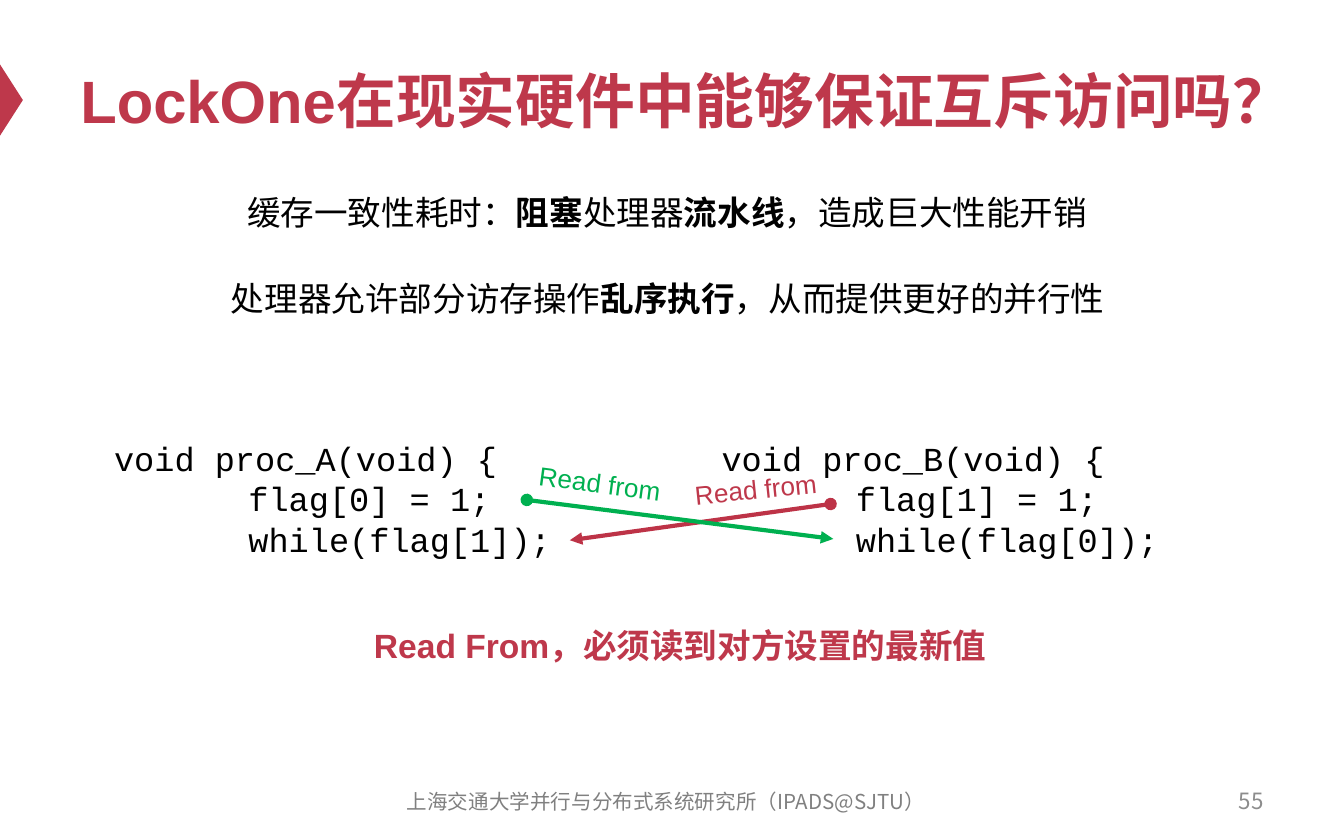
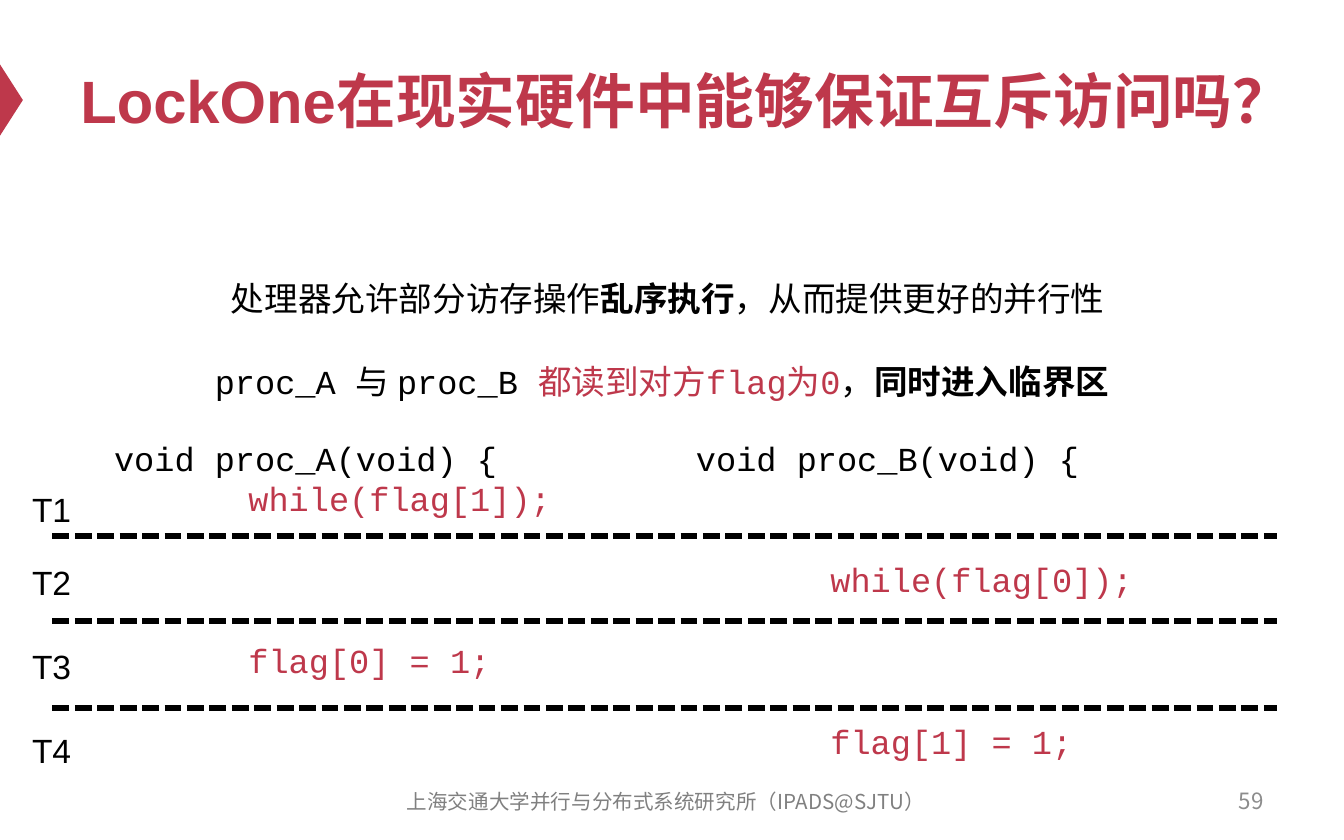
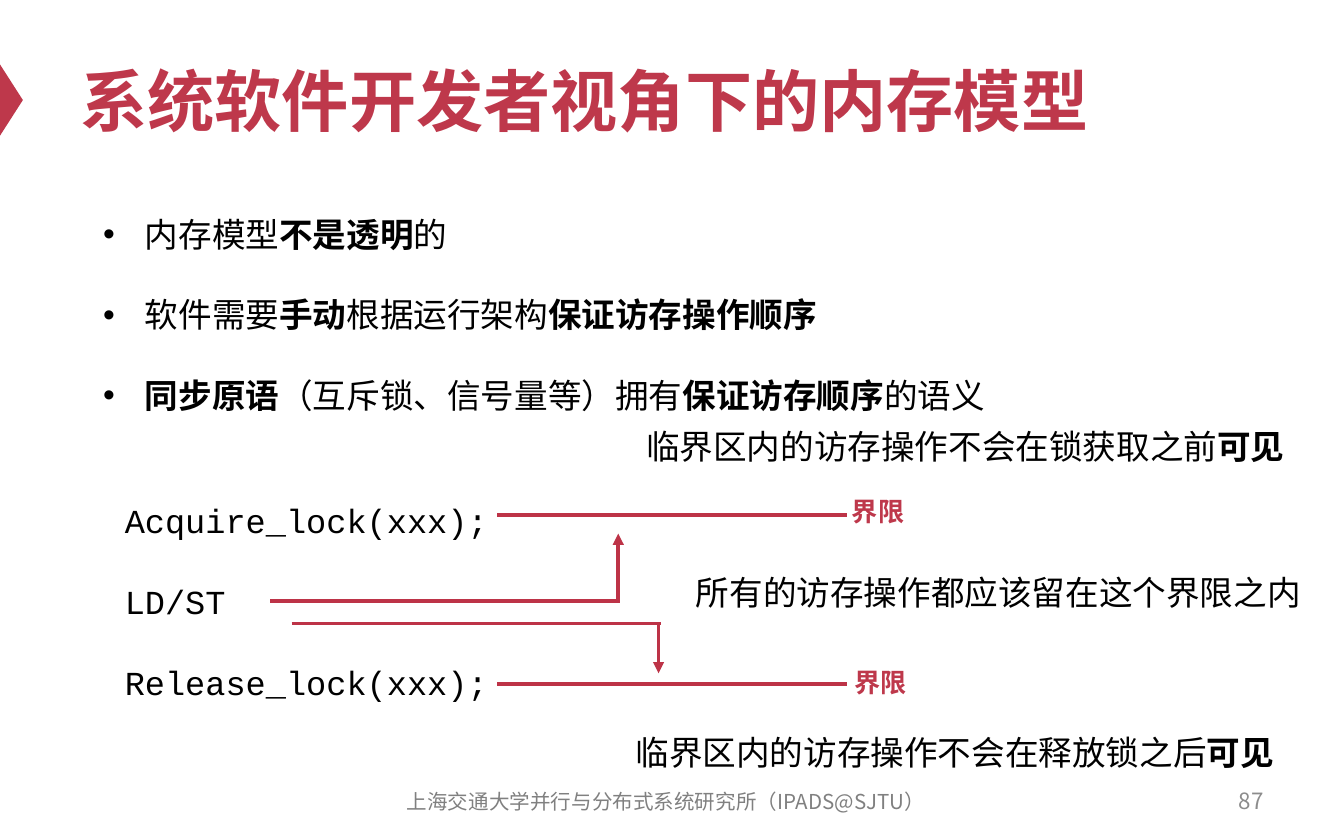
from lxml import etree
from pptx import Presentation
from pptx.dml.color import RGBColor
from pptx.enum.dml import MSO_LINE
from pptx.enum.shapes import MSO_CONNECTOR, MSO_SHAPE
from pptx.enum.text import MSO_ANCHOR, MSO_AUTO_SIZE, PP_ALIGN
from pptx.oxml.ns import qn
from pptx.util import Inches, Pt

LEFT, CENTER, RIGHT = PP_ALIGN.LEFT, PP_ALIGN.CENTER, PP_ALIGN.RIGHT
MIDDLE = MSO_ANCHOR.MIDDLE
GROW = MSO_AUTO_SIZE.SHAPE_TO_FIT_TEXT
STRAIGHT = MSO_CONNECTOR.STRAIGHT
DASH = MSO_LINE.SQUARE_DOT

RED, LINE_RED, GREEN, BLACK = "BE384B", "BD3347", "00B050", "000000"
FOOTER_GRAY, NUMBER_GRAY = "808080", "8C8C8C"
SANS, MONO, CJK = "Arial", "Courier New", "Noto Sans CJK SC"
CODE_LINE = 21.7  # points per line of code
CODE_TAB = 1  # inches

FOOTER = "上海交通大学并行与分布式系统研究所（IPADS@SJTU）"
LOCK_TITLE = "LockOne在现实硬件中能够保证互斥访问吗？"

# A paragraph is a list of spans: plain strings, or (text, "bold" / "red").
CACHE_COST = ["缓存一致性耗时：", ("阻塞", "bold"), "处理器", ("流水线", "bold"),
              "，造成巨大性能开销"]
OUT_OF_ORDER = ["处理器允许部分访存操作", ("乱序执行", "bold"), "，从而提供更好的并行性"]
BOTH_ENTER = ["proc_A 与 proc_B ", ("都读到对方flag为0", "red"), "，",
              ("同时进入临界区", "bold")]
READ_FROM = ["Read From，必须读到对方设置的最新值"]

# Code: (empty lines above, spans)
PROC_A = [(0, ["void proc_A(void) {"]), (0, ["\tflag[0] = 1;"]),
          (0, ["\twhile(flag[1]);"])]
PROC_B = [(0, ["void proc_B(void) {"]), (0, ["\tflag[1] = 1;"]),
          (0, ["\twhile(flag[0]);"])]
REORDERED_A = [(0, ["void proc_A(void) {"]), (0, [("\twhile(flag[1]);", "red")]),
               (3, [("\tflag[0] = 1;", "red")])]
REORDERED_B = [(0, ["void proc_B(void) {"]), (2, [("\twhile(flag[0]);", "red")]),
               (3, [("\tflag[1] = 1;", "red")])]
LOCK_CODE = [(0, ["Acquire_lock(xxx);"]), (1, ["LD/ST"]), (1, ["Release_lock(xxx);"])]

# (start, end, colour, label colour, label place, label angle)
READ_ARROWS = [
    ((6.18, 3.75), (4.24, 4.02), LINE_RED, RED, (5.07, 3.47), 354.1),
    ((3.92, 3.72), (6.2, 4.01), GREEN, GREEN, (3.91, 3.43), 7.6),
]
TIME_LABELS = [("T1", 3.59), ("T2", 4.13), ("T3", 4.76), ("T4", 5.38)]
TIME_LINES = [3.99, 4.62, 5.27]

MODEL_POINTS = [
    ["内存模型", ("不是透明", "bold"), "的"],
    ["软件需要", ("手动", "bold"), "根据运行架构", ("保证访存操作顺序", "bold")],
    [("同步原语", "bold"), "（互斥锁、信号量等）拥有", ("保证访存顺序", "bold"), "的语义"],
]
MODEL_NOTES = [
    ((4.71, 3.12, 5, 0.4), ["临界区内的访存操作不会在锁获取之前", ("可见", "bold")]),
    ((4.63, 5.4, 5, 0.4), ["临界区内的访存操作不会在释放锁之后", ("可见", "bold")]),
    ((5.08, 4.21, 4.75, 0.4), ["所有的访存操作都应该留在这个界限之内"]),
]
LIMITS = [(3.83, (6.24, 3.64)), (5.09, (6.26, 4.91))]
# (start, corner, tip) of the moves that stop at a limit
BLOCKED_MOVES = [((2.01, 4.47), (4.61, 4.47), (4.6, 3.97)),
                 ((2.17, 4.64), (4.92, 4.64), (4.9, 5.01))]


def color(value):
    return RGBColor.from_string(value)


def add_bullet(para):
    properties = para._p.get_or_add_pPr()
    properties.set("marL", str(Inches(0.31)))
    properties.set("indent", str(-Inches(0.31)))
    etree.SubElement(properties, qn("a:buFont")).set("typeface", SANS)
    etree.SubElement(properties, qn("a:buChar")).set("char", "•")


def add_tab_stop(para):
    stops = etree.SubElement(para._p.get_or_add_pPr(), qn("a:tabLst"))
    stop = etree.SubElement(stops, qn("a:tab"))
    stop.set("pos", str(Inches(CODE_TAB)))
    stop.set("algn", "l")


def add_text(page, at, paragraphs, size=18, font=SANS, ink=BLACK, bold=False,
             align=LEFT, wrap=False, grow=True, anchor=None, angle=0,
             gaps=(), bullets=False):
    """Add a text box; gaps, given for code only, are empty lines above."""
    box = page.shapes.add_textbox(*map(Inches, at))
    box.rotation = angle
    frame = box.text_frame
    frame.word_wrap = wrap
    if grow:
        frame.auto_size = GROW
    if anchor is not None:
        frame.vertical_anchor = anchor
    for index, spans in enumerate(paragraphs):
        para = frame.add_paragraph() if index else frame.paragraphs[0]
        para.alignment = align
        if bullets:
            para.line_spacing = 2.0
            add_bullet(para)
        if gaps:
            if gaps[index]:
                para.space_before = Pt(gaps[index] * CODE_LINE)
            add_tab_stop(para)
        para.font.size = Pt(size)
        para.font.name = font
        para.font.bold = bold
        para.font.color.rgb = color(ink)
        defaults = para._p.pPr.find(qn("a:defRPr"))
        etree.SubElement(defaults, qn("a:ea")).set("typeface", CJK)
        for span in spans:
            text, style = (span, None) if isinstance(span, str) else span
            run = para.add_run()
            run.text = text
            if style == "bold":
                run.font.bold = True
            elif style == "red":
                run.font.color.rgb = color(RED)


def add_code(page, at, lines, wrap=True):
    gaps, paragraphs = zip(*lines)
    add_text(page, at, paragraphs, font=MONO, wrap=wrap, gaps=gaps)


def add_line(page, start, end, ink=LINE_RED, width=2, dash=None, head=None, tail=None):
    line = page.shapes.add_connector(STRAIGHT, *map(Inches, (*start, *end)))
    line.line.color.rgb = color(ink)
    line.line.width = Pt(width)
    if dash is not None:
        line.line.dash_style = dash
    outline = line.line._get_or_add_ln()
    for tag, kind in (("a:headEnd", head), ("a:tailEnd", tail)):
        if kind:
            etree.SubElement(outline, qn(tag)).set("type", kind)
    etree.SubElement(line._element.spPr, qn("a:effectLst"))


def add_page(deck, title, number, title_size=32):
    """Add a blank slide with the shared marker, title, footer and number."""
    page = deck.slides.add_slide(deck.slide_layouts[6])
    marker = page.shapes.add_shape(MSO_SHAPE.ISOSCELES_TRIANGLE,
                                   *map(Inches, (-0.18, 0.66, 0.53, 0.17)))
    marker.rotation = 90
    marker.shadow.inherit = False
    marker.fill.solid()
    marker.fill.fore_color.rgb = color(RED)
    marker.line.fill.background()
    add_text(page, (0.5, 0.25, 9, 0.98), [[title]], title_size, ink=RED, bold=True,
             wrap=True, grow=False, anchor=MIDDLE)
    add_text(page, (2.79, 5.8, 4.33, 0.33), [[FOOTER]], 11, CJK, FOOTER_GRAY,
             align=CENTER, wrap=True, grow=False, anchor=MIDDLE)
    add_text(page, (7.17, 5.79, 2.33, 0.33), [[str(number)]], 12, CJK, NUMBER_GRAY,
             align=RIGHT, wrap=True, grow=False, anchor=MIDDLE)
    return page


def add_read_from_page(deck):
    page = add_page(deck, LOCK_TITLE, 55)
    add_code(page, (0.75, 3.21, 3.91, 1.01), PROC_A)
    add_code(page, (5.27, 3.21, 4.78, 1.01), PROC_B)
    add_text(page, (1.74, 1.38, 6.51, 0.4), [CACHE_COST])
    add_text(page, (1.62, 2.02, 6.77, 0.4), [OUT_OF_ORDER])
    for start, end, ink, label_ink, place, angle in READ_ARROWS:
        add_line(page, start, end, ink, 2.25, head="oval", tail="triangle")
        add_text(page, (*place, 1.12, 0.34), [["Read from"]], 14, ink=label_ink,
                 angle=angle)
    add_text(page, (2.42, 4.6, 5.28, 0.4), [READ_FROM], ink=RED, bold=True,
             align=CENTER, wrap=True)


def add_reordering_page(deck):
    page = add_page(deck, LOCK_TITLE, 59)
    add_code(page, (0.75, 3.21, 3.91, 1.92), REORDERED_A)
    add_code(page, (5.08, 3.21, 4.78, 2.52), REORDERED_B)
    add_text(page, (1.62, 2.02, 6.77, 0.4), [OUT_OF_ORDER])
    add_text(page, (1.5, 2.64, 7, 0.4), [BOTH_ENTER], font=MONO, wrap=True)
    for label, top in TIME_LABELS:
        add_text(page, (0.14, top, 0.5, 0.4), [[label]])
    for y in TIME_LINES:
        add_line(page, (0.39, y), (9.5, y), BLACK, 3, DASH)


def add_memory_model_page(deck):
    page = add_page(deck, "系统软件开发者视角下的内存模型", 87, 36)
    add_text(page, (0.67, 1.24, 8.27, 2.43), MODEL_POINTS, wrap=True, bullets=True)
    add_code(page, (0.83, 3.67, 2.92, 1.62), LOCK_CODE, wrap=False)
    for y, place in LIMITS:
        add_line(page, (3.7, y), (6.3, y))
        add_text(page, (*place, 0.59, 0.34), [["界限"]], 14, ink=RED, bold=True)
    for start, corner, tip in BLOCKED_MOVES:
        add_line(page, start, corner)
        add_line(page, (tip[0], corner[1]), tip, tail="triangle")
    for at, spans in MODEL_NOTES:
        add_text(page, at, [spans])


def main():
    deck = Presentation()
    deck.slide_width, deck.slide_height = Inches(10), Inches(6.25)
    add_read_from_page(deck)
    add_reordering_page(deck)
    add_memory_model_page(deck)
    deck.save("out.pptx")


if __name__ == "__main__":
    main()
